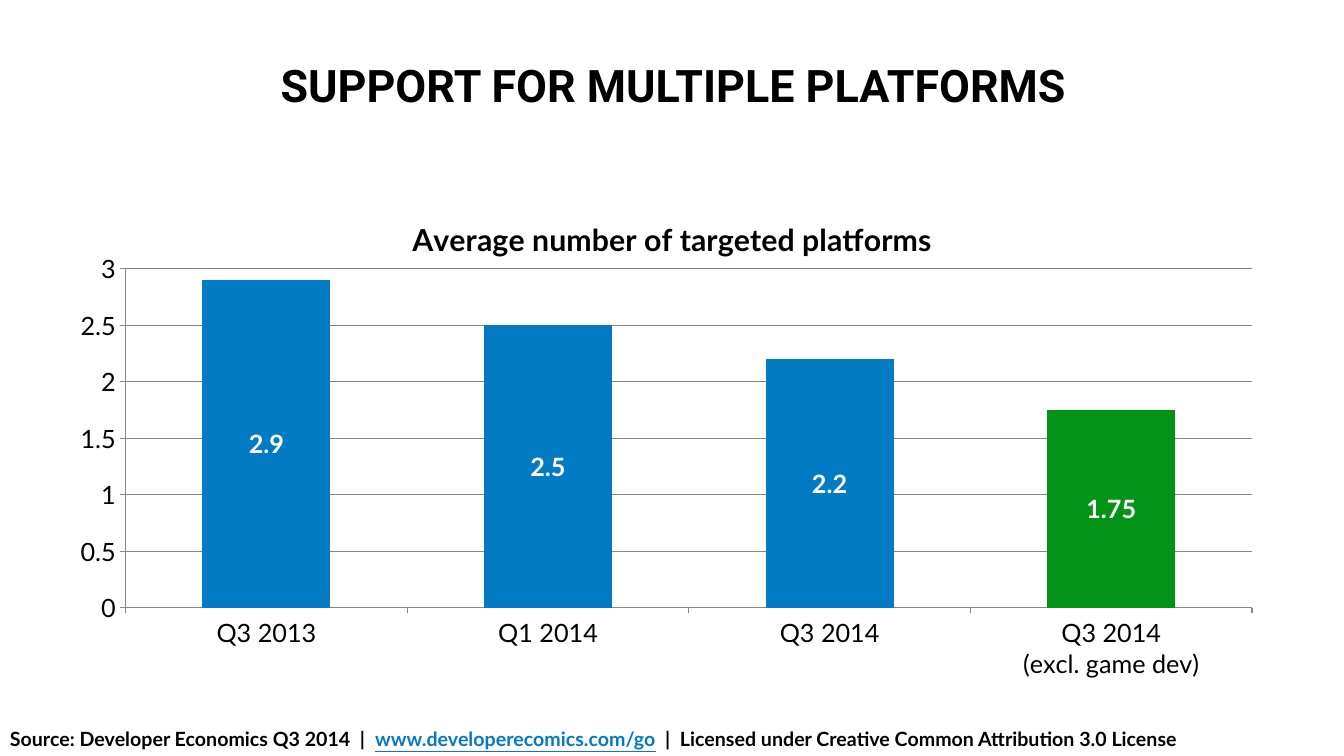
"""Build a slide with a column chart of targeted platforms."""
from lxml.etree import SubElement
from pptx import Presentation
from pptx.chart.data import CategoryChartData
from pptx.dml.color import RGBColor
from pptx.enum.chart import XL_CHART_TYPE, XL_LABEL_POSITION, XL_TICK_MARK
from pptx.enum.text import MSO_ANCHOR, PP_ALIGN
from pptx.oxml.ns import qn
from pptx.util import Inches, Pt

COLORS = {"black": "000000", "white": "FFFFFF", "blue": "037AC4",
          "green": "039417", "grey": "878787"}


def color(name):
    """Return a named colour."""
    return RGBColor.from_string(COLORS[name])


def style(font, size, hue="black", bold=True, face="Lato"):
    """Set the look of a font."""
    font.name, font.size, font.bold = face, Pt(size), bold
    font.color.rgb = color(hue)


deck = Presentation()
deck.slide_width, deck.slide_height = Inches(13.33), Inches(7.5)
slide = deck.slides.add_slide(deck.slide_layouts[5])

title = slide.shapes.title
title.left, title.top = Inches(0.48), Inches(0)
title.width, title.height = Inches(12.4), Inches(1.75)
frame = title.text_frame
frame.text = "SUPPORT FOR MULTIPLE PLATFORMS"
frame.word_wrap = True
frame.vertical_anchor = MSO_ANCHOR.MIDDLE
frame.margin_left = frame.margin_right = Inches(0.1)
frame.margin_top = frame.margin_bottom = Inches(0.1)
head = frame.paragraphs[0]
head.alignment, head.line_spacing = PP_ALIGN.CENTER, 0.9
style(head.font, 32, face="Roboto")

data = CategoryChartData()
data.categories = ["Q3 2013", "Q1 2014", "Q3 2014", "Q3 2014\n(excl. game dev)"]
data.add_series("Series 1", [2.9, 2.5, 2.2, None])
data.add_series("Series 2", [None, None, None, 1.75])
chart = slide.shapes.add_chart(
    XL_CHART_TYPE.COLUMN_STACKED, Inches(0.67), Inches(1.95),
    Inches(12), Inches(4.95), data).chart
style(chart.font, 18, bold=False)
chart.has_legend = False
chart.has_title = True
label = chart.chart_title.text_frame
label.text = "Average number of targeted platforms"
style(label.paragraphs[0].font, 21.6)

for axis in (chart.category_axis, chart.value_axis):
    axis.major_tick_mark = XL_TICK_MARK.OUTSIDE
    axis.minor_tick_mark = XL_TICK_MARK.NONE
    axis.format.line.color.rgb = color("grey")
    axis.format.line.width = Pt(0.75)
scale = chart.value_axis
scale.minimum_scale, scale.maximum_scale, scale.major_unit = 0, 3, 0.5
scale.has_major_gridlines = True
grid = scale.major_gridlines.format.line
grid.color.rgb, grid.width = color("grey"), Pt(0.75)

plot = chart.plots[0]
plot.gap_width, plot.overlap = 120, 100
plot.vary_by_categories = False
for series, hue in zip(plot.series, ("blue", "green")):
    series.format.fill.solid()
    series.format.fill.fore_color.rgb = color(hue)
    labels = series.data_labels
    labels.show_value = True
    labels.position = XL_LABEL_POSITION.CENTER
    style(labels.font, 18, "white")

area = chart.plots[0]._element.getparent()
for old in area.findall(qn("c:layout")):
    area.remove(old)
layout = SubElement(area, qn("c:layout"))
area.insert(0, layout)
manual = SubElement(layout, qn("c:manualLayout"))
for tag, value in (("layoutTarget", "inner"), ("xMode", "edge"), ("yMode", "edge"),
                   ("x", 0.048), ("y", 0.145), ("w", 0.931), ("h", 0.679)):
    SubElement(manual, qn(f"c:{tag}")).set("val", str(value))

source = slide.shapes.add_textbox(Inches(0), Inches(7.16), Inches(13.33), Inches(0.34))
source.text_frame.word_wrap = True
line = source.text_frame.paragraphs[0]
style(line.font, 14)
for text, hue in (("Source: Developer Economics Q3 2014  |  ", "black"),
                  ("www.developerecomics.com/go", "blue"),
                  ("  |  Licensed under Creative Common Attribution 3.0 License", "black")):
    run = line.add_run()
    run.text = text
    run.font.color.rgb = color(hue)
    run.font.underline = hue == "blue"

deck.save("out.pptx")
